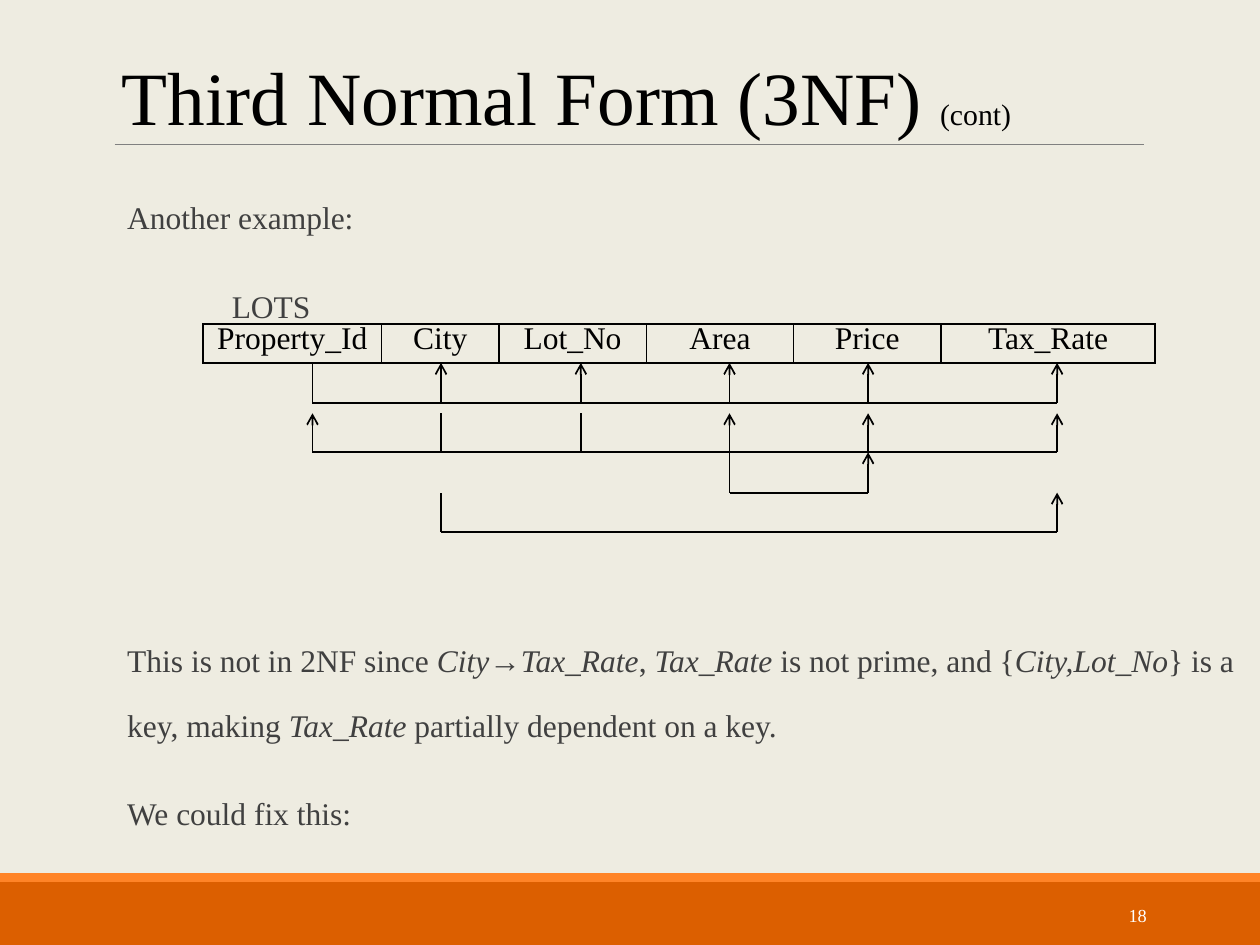
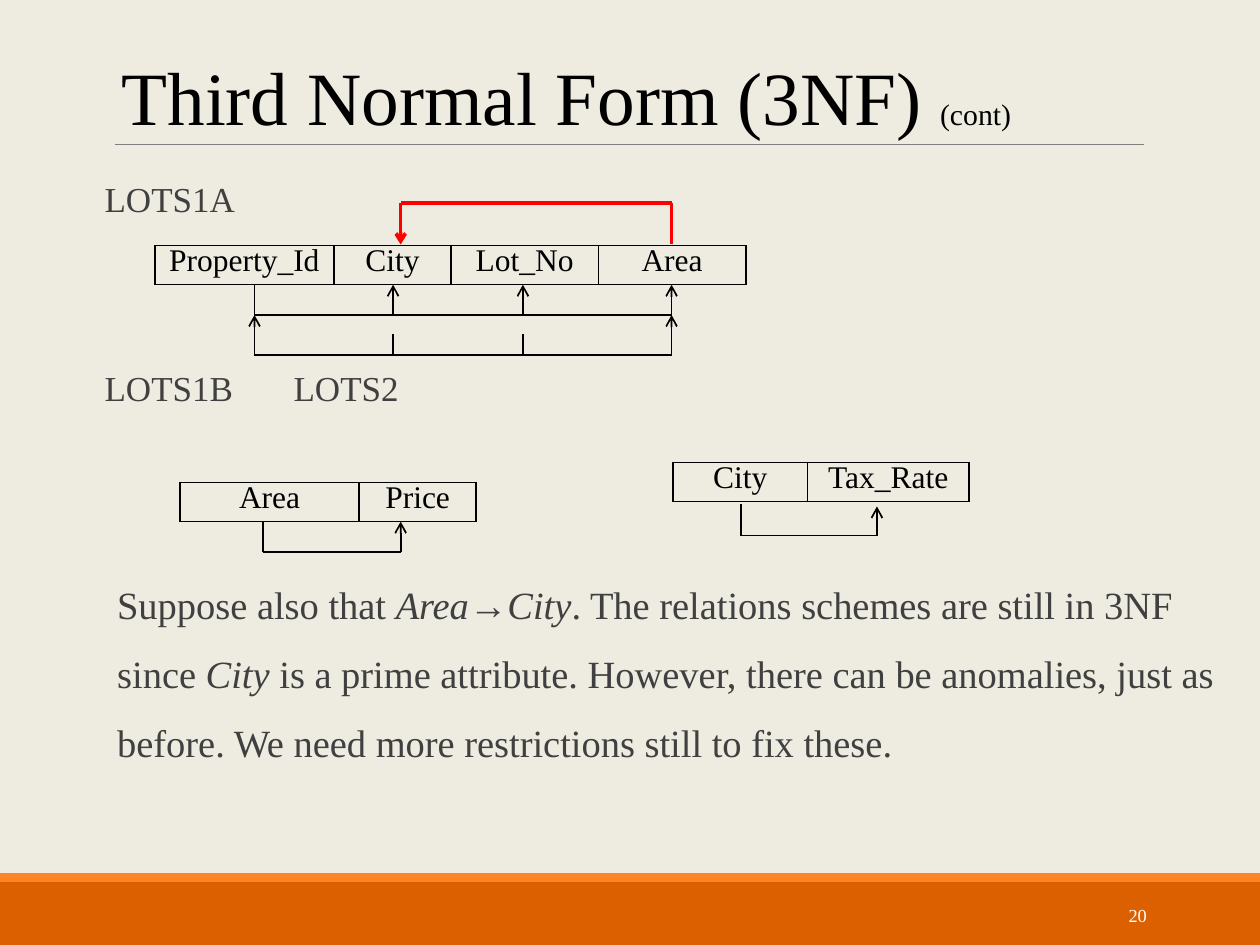
from lxml import etree
from pptx import Presentation
from pptx.dml.color import RGBColor
from pptx.enum.shapes import MSO_CONNECTOR, MSO_SHAPE
from pptx.enum.text import MSO_ANCHOR, MSO_AUTO_SIZE, PP_ALIGN
from pptx.oxml.ns import qn
from pptx.util import Inches, Pt

STRAIGHT = MSO_CONNECTOR.STRAIGHT
RECTANGLE = MSO_SHAPE.RECTANGLE
MIDDLE, TOP = MSO_ANCHOR.MIDDLE, MSO_ANCHOR.TOP
NO_AUTOFIT = MSO_AUTO_SIZE.NONE
CENTER, LEFT, RIGHT = PP_ALIGN.CENTER, PP_ALIGN.LEFT, PP_ALIGN.RIGHT

FONT = "Times New Roman"
COLORS = {
    "background": "EEECE1", "band": "DC5F00", "stripe": "FF8427",
    "rule": "808080", "body": "404040", "ink": "000000",
    "number": "FFFFFF", "highlight": "FF0000",
}
TITLE = [("Third Normal Form (3NF) ", 43), ("(cont)", 17)]
TITLE_BOX = (0.43, 0.21, 8.13, 1.09)
NUMBER_BOX = (8.12, 7.06, 1.08, 0.4)
BANDS = [((0, 7, 10, 0.5), "band"), ((0, 6.93, 10, 0.07), "stripe")]
ROW_HEIGHT = 0.31

# Asterisks enclose italic words. A dependency runs from its determinants to
# its dependents along a bar; "ends" are the far ends of their two kinds of leg.
SLIDES = [
    {
        "number": "18",
        "body_box": (0.91, 1.31, 9, 5.58),
        "body": [
            {"text": "Another example:", "size": 18, "spacing": 1.7, "indent": 0.1},
            {"text": "LOTS", "size": 18, "spacing": 1.7, "indent": 0.93},
            {"text": "This is not in 2NF since *City→Tax_Rate*, *Tax_Rate* is not "
                     "prime, and {*City,Lot_No*} is a key, making *Tax_Rate* "
                     "partially dependent on a key.",
             "size": 18, "spacing": 1.7, "indent": 0.1, "before": 164},
            {"text": "We could fix this:", "size": 18, "spacing": 1.7, "indent": 0.1},
        ],
        "relations": [
            {"at": (1.61, 2.57),
             "columns": {"Property_Id": 1.42, "City": 0.93, "Lot_No": 1.17,
                         "Area": 1.17, "Price": 1.17, "Tax_Rate": 1.7},
             "legs": {"Property_Id": 2.48, "City": 3.5, "Lot_No": 4.61,
                      "Area": 5.79, "Price": 6.89, "Tax_Rate": 8.39},
             "dependencies": [
                 {"from": ["Property_Id"],
                  "to": ["City", "Lot_No", "Area", "Price", "Tax_Rate"],
                  "bar": 3.2, "ends": (2.88, 2.88)},
                 {"from": ["City", "Lot_No"],
                  "to": ["Property_Id", "Area", "Price", "Tax_Rate"],
                  "bar": 3.59, "ends": (3.28, 3.28)},
                 {"from": ["Area"], "to": ["Price"],
                  "bar": 3.91, "ends": (3.59, 3.59)},
                 {"from": ["City"], "to": ["Tax_Rate"],
                  "bar": 4.22, "ends": (3.91, 3.91)},
             ]},
        ],
    },
    {
        "number": "20",
        "body_box": (0.83, 1.4, 9, 5.89),
        "body": [
            {"text": "LOTS1A", "size": 20, "spacing": 0.9},
            {"text": "LOTS1B\tLOTS2", "size": 20, "spacing": 0.9,
             "before": 84, "tab": 4.69},
            {"text": "Suppose also that *Area*→*City*. The relations schemes are "
                     "still in 3NF since *City* is a prime attribute. However, there "
                     "can be anomalies, just as before. We need more restrictions "
                     "still to fix these.",
             "size": 22, "spacing": 1.5, "indent": 0.1, "before": 83},
        ],
        "relations": [
            {"at": (1.23, 1.95),
             "columns": {"Property_Id": 1.42, "City": 0.93, "Lot_No": 1.17,
                         "Area": 1.17},
             "legs": {"Property_Id": 2.02, "City": 3.12, "Lot_No": 4.15,
                      "Area": 5.33},
             "dependencies": [
                 {"from": ["Property_Id"], "to": ["City", "Lot_No", "Area"],
                  "bar": 2.5, "ends": (2.26, 2.26)},
                 {"from": ["City", "Lot_No"], "to": ["Property_Id", "Area"],
                  "bar": 2.82, "ends": (2.65, 2.5)},
             ]},
            {"at": (1.43, 3.83), "columns": {"Area": 1.42, "Price": 0.93},
             "legs": {"Area": 2.09, "Price": 3.18},
             "dependencies": [{"from": ["Area"], "to": ["Price"],
                               "bar": 4.38, "ends": (4.14, 4.14)}]},
            {"at": (5.34, 3.67), "columns": {"City": 1.07, "Tax_Rate": 1.28},
             "legs": {"City": 5.88, "Tax_Rate": 6.96},
             "dependencies": [{"from": ["City"], "to": ["Tax_Rate"],
                               "bar": 4.25, "ends": (4, 4.02)}]},
        ],
        "highlight": {"legs": {"Area": 5.33, "City": 3.18},
                      "dependency": {"from": ["Area"], "to": ["City"],
                                     "bar": 1.61, "ends": (1.94, 1.94)}},
    },
]


def rgb(name):
    """Return the named colour of the palette."""
    return RGBColor.from_string(COLORS[name])


def place(shape, box):
    """Move and size a shape to a box given in inches."""
    shape.left, shape.top, shape.width, shape.height = map(Inches, box)


def write(paragraph, text, size=18, color="ink", align=LEFT):
    """Append text to a paragraph; words between asterisks become italic."""
    paragraph.alignment = align
    for i, part in enumerate(text.split("*")):
        if part:
            run = paragraph.add_run()
            run.text = part
            run.font.name, run.font.size = FONT, Pt(size)
            run.font.color.rgb = rgb(color)
            run.font.italic = i % 2 == 1


def add_line(slide, start, end, color="ink", width=1, arrow=False):
    """Draw a straight line, with an arrowhead at its end if asked."""
    line = slide.shapes.add_connector(STRAIGHT, *map(Inches, start + end))
    line.line.color.rgb = rgb(color)
    line.line.width = Pt(width)
    properties = line._element.spPr
    if arrow:
        etree.SubElement(properties.find(qn("a:ln")), qn("a:tailEnd"), type="arrow")
    etree.SubElement(properties, qn("a:effectLst"))


def add_frame(slide, number):
    """Add what all slides share: bands, title rule, title and slide number."""
    for box, color in BANDS:
        band = slide.shapes.add_shape(RECTANGLE, *map(Inches, box))
        band.shadow.inherit = False
        band.fill.solid()
        band.fill.fore_color.rgb = rgb(color)
        band.line.fill.background()
    add_line(slide, (0.91, 1.15), (9.08, 1.15), "rule", 0.5)

    title = slide.shapes.title
    place(title, TITLE_BOX)
    title.text_frame.vertical_anchor = MIDDLE
    title.text_frame.auto_size = NO_AUTOFIT
    for text, size in TITLE:
        write(title.text_frame.paragraphs[0], text, size=size, align=CENTER)

    frame = slide.shapes.add_textbox(*map(Inches, NUMBER_BOX)).text_frame
    frame.word_wrap = True
    frame.vertical_anchor = MIDDLE
    write(frame.paragraphs[0], number, size=10.5, color="number", align=RIGHT)


def fill_body(body, box, items):
    """Put the paragraphs of a slide into its body placeholder."""
    place(body, box)
    frame = body.text_frame
    frame.auto_size, frame.vertical_anchor = NO_AUTOFIT, TOP
    frame.margin_left = frame.margin_right = 0
    for i, item in enumerate(items):
        paragraph = frame.add_paragraph() if i else frame.paragraphs[0]
        write(paragraph, item["text"], size=item["size"], color="body")
        paragraph.line_spacing = item["spacing"]
        paragraph.space_before = Pt(item.get("before", 12))
        paragraph.space_after = Pt(2)
        properties = paragraph._p.get_or_add_pPr()
        properties.set("marL", str(Inches(item.get("indent", 0))))
        properties.set("indent", "0")
        etree.SubElement(properties, qn("a:buNone"))
        if "tab" in item:
            tabs = etree.SubElement(properties, qn("a:tabLst"))
            etree.SubElement(tabs, qn("a:tab"), pos=str(Inches(item["tab"])), algn="l")


def add_borders(cell):
    """Give a table cell a thin line on its four sides."""
    properties = cell._tc.get_or_add_tcPr()
    for side in ("lnL", "lnR", "lnT", "lnB"):
        border = etree.SubElement(properties, qn("a:" + side), w=str(Pt(1)))
        fill = etree.SubElement(border, qn("a:solidFill"))
        etree.SubElement(fill, qn("a:srgbClr"), val=COLORS["ink"])


def add_relation(slide, at, columns):
    """Draw a relation scheme as a table of one row."""
    box = (*at, sum(columns.values()), ROW_HEIGHT)
    table = slide.shapes.add_table(1, len(columns), *map(Inches, box)).table
    table.first_row = table.horz_banding = False
    for i, (attribute, width) in enumerate(columns.items()):
        table.columns[i].width = Inches(width)
        cell = table.cell(0, i)
        add_borders(cell)
        cell.fill.background()
        paragraph = cell.text_frame.paragraphs[0]
        paragraph.line_spacing = Pt(15)
        write(paragraph, attribute, align=CENTER)


def add_dependency(slide, legs, dependency, **style):
    """Draw a bar with plain legs to determinants and arrows to dependents."""
    bar = dependency["bar"]
    determinant_end, dependent_end = dependency["ends"]
    xs = [legs[name] for name in dependency["from"] + dependency["to"]]
    add_line(slide, (min(xs), bar), (max(xs), bar), **style)
    for name in dependency["from"]:
        add_line(slide, (legs[name], bar), (legs[name], determinant_end), **style)
    for name in dependency["to"]:
        add_line(slide, (legs[name], bar), (legs[name], dependent_end),
                 arrow=True, **style)


def build():
    """Build the presentation and save it."""
    deck = Presentation()
    deck.slide_width, deck.slide_height = Inches(10), Inches(7.5)
    background = deck.slide_master.background.fill
    background.solid()
    background.fore_color.rgb = rgb("background")
    for content in SLIDES:
        slide = deck.slides.add_slide(deck.slide_layouts[1])
        add_frame(slide, content["number"])
        fill_body(slide.placeholders[1], content["body_box"], content["body"])
        for relation in content["relations"]:
            add_relation(slide, relation["at"], relation["columns"])
            for dependency in relation["dependencies"]:
                add_dependency(slide, relation["legs"], dependency)
        if "highlight" in content:
            add_dependency(slide, **content["highlight"], color="highlight", width=2)
    deck.save("out.pptx")


build()
